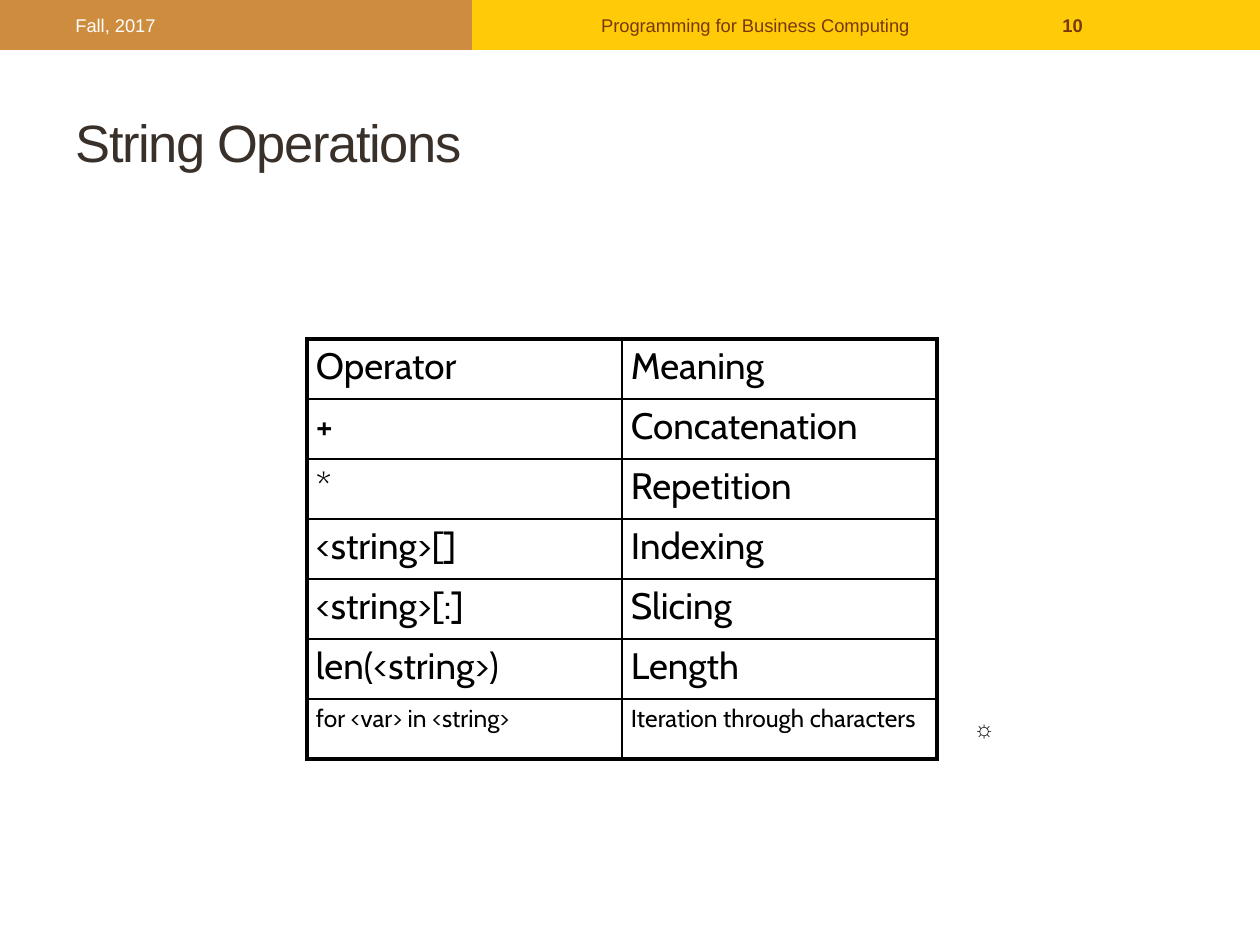
from lxml.etree import SubElement
from pptx import Presentation
from pptx.dml.color import RGBColor
from pptx.enum.shapes import MSO_SHAPE
from pptx.enum.text import MSO_ANCHOR, PP_ALIGN
from pptx.oxml.ns import qn
from pptx.util import Emu, Pt

PX = 914400 / 126
BRONZE = RGBColor(0xCE, 0x8D, 0x3E)
YELLOW = RGBColor(0xFF, 0xCA, 0x08)
BROWN = RGBColor(0x77, 0x38, 0x0A)
DARK = RGBColor(0x39, 0x30, 0x2A)
BLACK = RGBColor(0, 0, 0)
WHITE = RGBColor(0xFF, 0xFF, 0xFF)

HEADER_FONT = {"name": "Arial", "size": Pt(10.5)}
OPERATIONS = [
    ("Operator", "Meaning"),
    ("+", "Concatenation"),
    ("*", "Repetition"),
    ("<string>[]", "Indexing"),
    ("<string>[:]", "Slicing"),
    ("len(<string>)", "Length"),
    ("for <var> in <string>", "Iteration through characters"),
]


def px(n):
    return Emu(round(n * PX))


def write(tf, text, color, align=PP_ALIGN.LEFT, **font):
    p = tf.paragraphs[0]
    p.alignment = align
    r = p.add_run()
    r.text = text
    r.font.color.rgb = color
    for name, value in font.items():
        setattr(r.font, name, value)
    return r


def add_band(s, x, w, color):
    sp = s.shapes.add_shape(MSO_SHAPE.RECTANGLE, px(x), 0, px(w), px(50))
    sp.shadow.inherit = False
    sp.fill.solid()
    sp.fill.fore_color.rgb = color
    sp.line.fill.background()


def add_text(s, box, text, color, anchor=MSO_ANCHOR.MIDDLE, wrap=True, **format):
    tf = s.shapes.add_textbox(*map(px, box)).text_frame
    tf.word_wrap = wrap
    tf.vertical_anchor = anchor
    write(tf, text, color, **format)


def add_title(s, text):
    sp = s.shapes.title
    sp.left, sp.top, sp.width, sp.height = map(px, (63, 73, 1134, 136))
    sp.text_frame.vertical_anchor = MSO_ANCHOR.MIDDLE
    r = write(sp.text_frame, text, DARK, name="Arial", size=Pt(30))
    r.font._element.set("spc", "-80")


def set_borders(cell, widths):
    tcPr = cell._tc.get_or_add_tcPr()
    for i, (side, width) in enumerate(widths.items()):
        ln = SubElement(tcPr, qn(f"a:{side}"), w=str(Pt(width)))
        fill = SubElement(ln, qn("a:solidFill"))
        SubElement(fill, qn("a:srgbClr"), val=str(BLACK))
        # Borders come before the cell fill
        tcPr.insert(i, ln)


def add_operations(s, x, y, col_w, row_h):
    rows, cols = len(OPERATIONS), len(OPERATIONS[0])
    frame = s.shapes.add_table(rows, cols, px(x), px(y), px(col_w * cols), px(row_h * rows))
    table = frame.table
    table.first_row = table.horz_banding = False
    for i, row in enumerate(OPERATIONS):
        table.rows[i].height = px(row_h)
        last = i == rows - 1
        for j, text in enumerate(row):
            cell = table.cell(i, j)
            cell.margin_left = cell.margin_right = px(9)
            cell.margin_top = cell.margin_bottom = px(5)
            cell.fill.background()
            write(cell.text_frame, text, BLACK, name="Cabin", size=Pt(14 if last else 21))
            # Thick outer frame, thin inner rules
            outer = {"lnL": j == 0, "lnR": j == cols - 1, "lnT": i == 0, "lnB": last}
            set_borders(cell, {side: 2.25 if edge else 1 for side, edge in outer.items()})


def main():
    prs = Presentation()
    prs.slide_width, prs.slide_height = px(1260), px(945)
    s = prs.slides.add_slide(prs.slide_layouts[5])

    # Header
    add_band(s, 0, 472, BRONZE)
    add_band(s, 472, 788, YELLOW)
    add_text(s, (63, 3, 399, 45), "Fall, 2017", WHITE, **HEADER_FONT)
    add_text(s, (472, 3, 567, 45), "Programming for Business Computing", BROWN,
             align=PP_ALIGN.CENTER, **HEADER_FONT)
    add_text(s, (1050, 3, 147, 45), "10", BROWN, bold=True, **HEADER_FONT)

    # Content
    add_title(s, "String Operations")
    add_operations(s, 307, 339, 315, 60)
    add_text(s, (961, 708, 45, 42), "☼", BLACK, anchor=MSO_ANCHOR.TOP, wrap=False,
             name="Times New Roman", size=Pt(13.5), bold=True)

    prs.save("out.pptx")


main()
